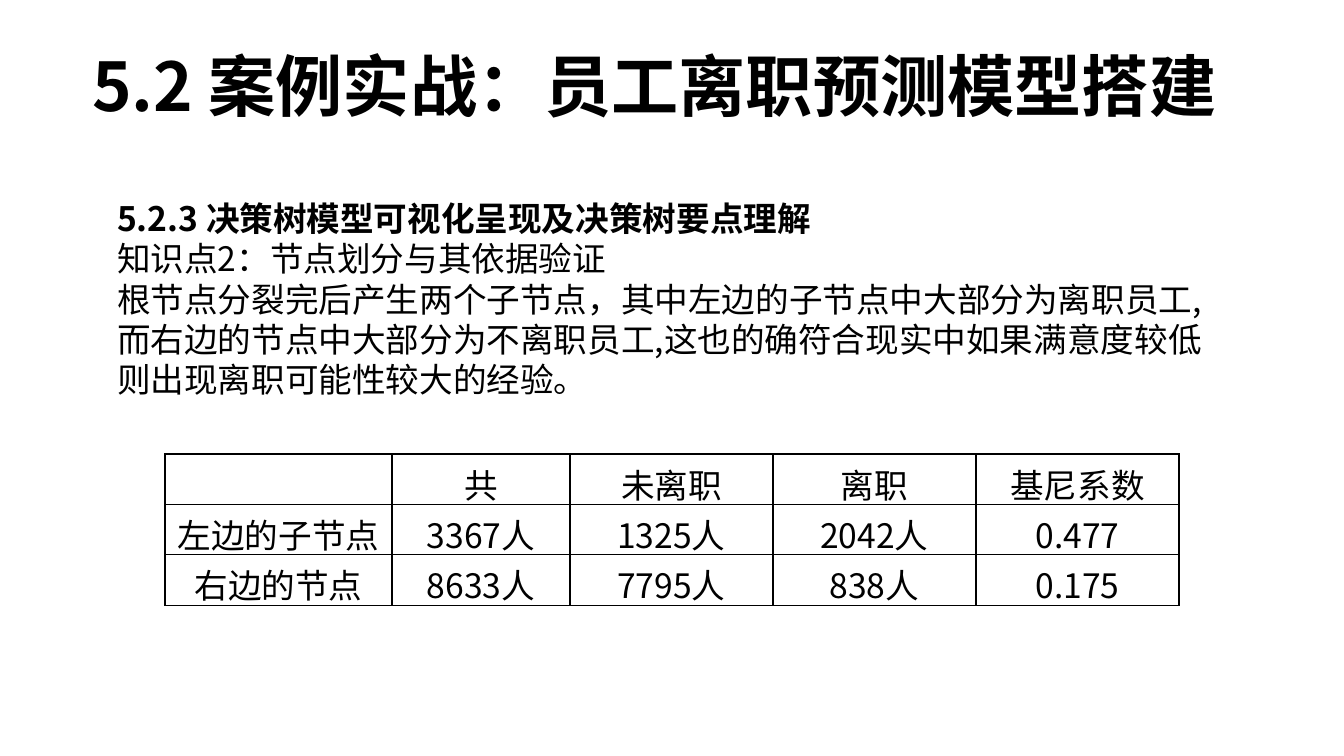
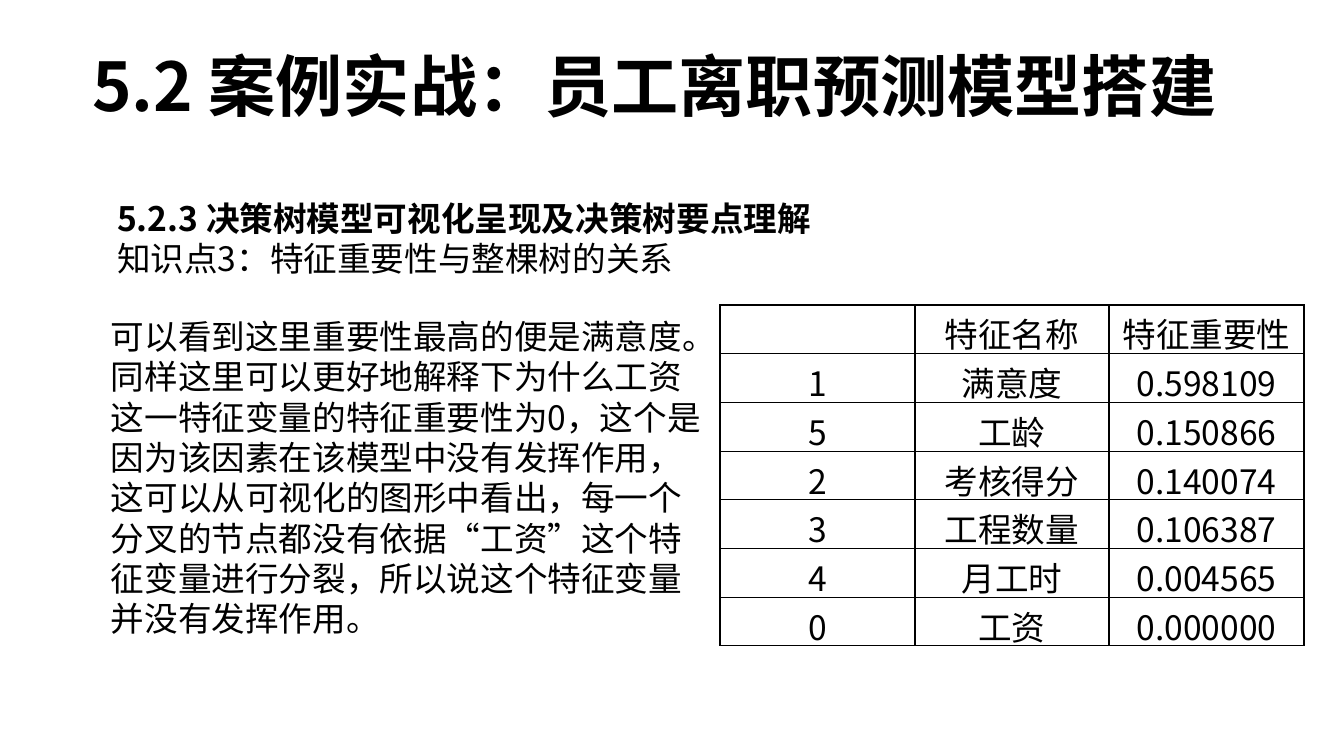
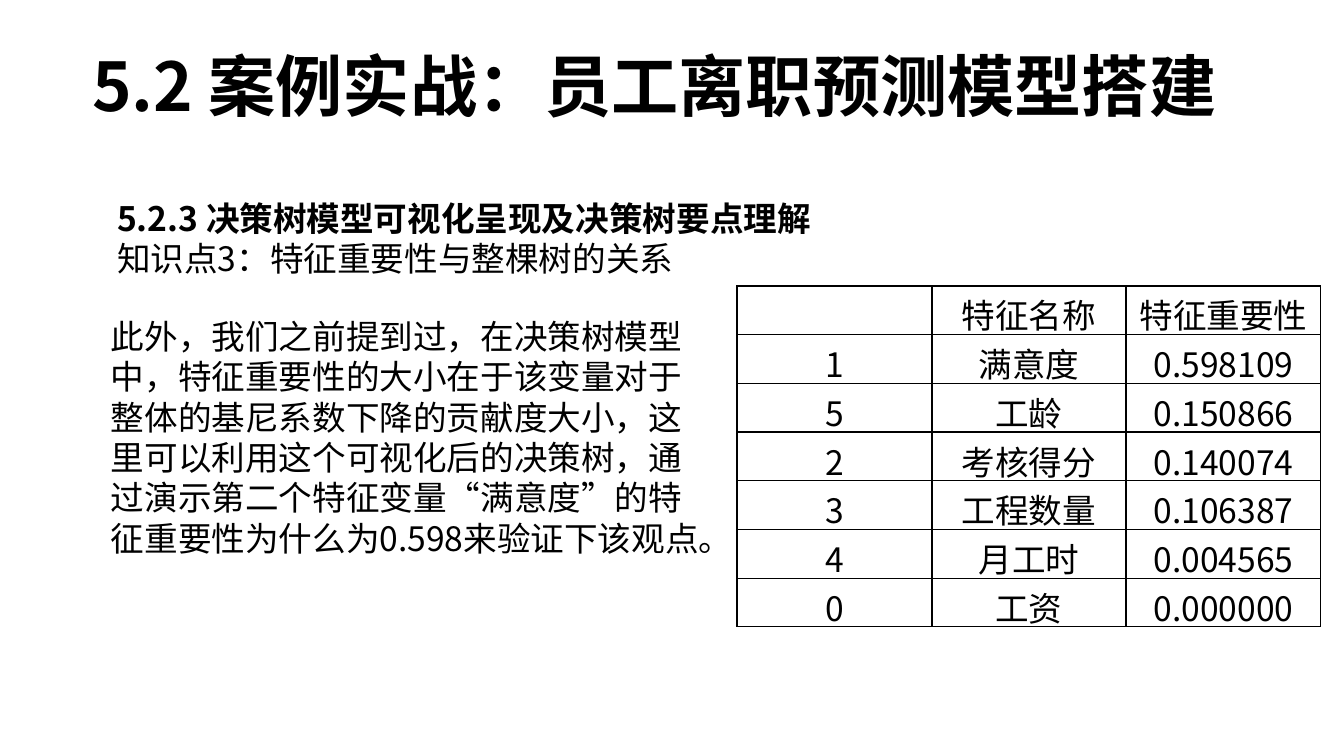
"""Build three slides on the decision tree of the staff turnover model."""
import lxml.etree
import pptx
import pptx.dml.color
import pptx.enum.text
import pptx.oxml.ns
import pptx.util

SCALE = 914400 / 100.8
BLACK = pptx.dml.color.RGBColor(0x00, 0x00, 0x00)
FONT = "Noto Sans CJK SC"
TOP = pptx.enum.text.MSO_ANCHOR.TOP
MIDDLE = pptx.enum.text.MSO_ANCHOR.MIDDLE
LEFT = pptx.enum.text.PP_ALIGN.LEFT
CENTER = pptx.enum.text.PP_ALIGN.CENTER
TITLE_FONT = {"size": pptx.util.Pt(48), "bold": True, "name": FONT}
HEADING_FONT = {"size": pptx.util.Pt(24), "bold": True, "name": FONT}
TEXT_FONT = {"size": pptx.util.Pt(24), "bold": False, "name": FONT}
FRAME_FORMAT = {"vertical_anchor": TOP,
                "auto_size": pptx.enum.text.MSO_AUTO_SIZE.SHAPE_TO_FIT_TEXT}

TITLE = "5.2 案例实战：员工离职预测模型搭建"
HEADING = "5.2.3 决策树模型可视化呈现及决策树要点理解"
SPLIT_POINT = "知识点2：节点划分与其依据验证"
WEIGHT_POINT = "知识点3：特征重要性与整棵树的关系"
SPLIT_TEXT = ("根节点分裂完后产生两个子节点，其中左边的子节点中大部分为离职员工,"
              "而右边的节点中大部分为不离职员工,这也的确符合现实中如果满意度较低"
              "则出现离职可能性较大的经验。")
WAGE_TEXT = ("可以看到这里重要性最高的便是满意度。同样这里可以更好地解释下为什么工资"
             "这一特征变量的特征重要性为0，这个是因为该因素在该模型中没有发挥作用，"
             "这可以从可视化的图形中看出，每一个分叉的节点都没有依据“工资”这个"
             "特征变量进行分裂，所以说这个特征变量并没有发挥作用。")
GINI_TEXT = ("此外，我们之前提到过，在决策树模型中，特征重要性的大小在于该变量对于"
             "整体的基尼系数下降的贡献度大小，这里可以利用这个可视化后的决策树，"
             "通过演示第二个特征变量“满意度”的特征重要性为什么为0.598来验证下该观点。")
NODE_ROWS = [
    ["", "共", "未离职", "离职", "基尼系数"],
    ["左边的子节点", "3367人", "1325人", "2042人", "0.477"],
    ["右边的节点", "8633人", "7795人", "838人", "0.175"],
]
FEATURE_ROWS = [
    ["", "特征名称", "特征重要性"],
    ["1", "满意度", "0.598109"],
    ["5", "工龄", "0.150866"],
    ["2", "考核得分", "0.140074"],
    ["3", "工程数量", "0.106387"],
    ["4", "月工时", "0.004565"],
    ["0", "工资", "0.000000"],
]


def px(length):
    """Turn pixels into EMU."""
    return pptx.util.Emu(round(length * SCALE))


def apply(target, values):
    """Set each named attribute on the target."""
    for name, value in values.items():
        setattr(target, name, value)


def add_xml(parent, tag, **attributes):
    """Append a drawing element to its parent."""
    return lxml.etree.SubElement(parent, pptx.oxml.ns.qn(tag), attributes)


def write(para, text, font, align=LEFT):
    """Fill a paragraph with one formatted span."""
    apply(para, {"alignment": align, "line_spacing": 1.0,
                 "space_before": pptx.util.Pt(0), "space_after": pptx.util.Pt(0)})
    span = para.add_run()
    span.text = text
    apply(span.font, font)
    span.font.color.rgb = BLACK
    add_xml(span.font._element, "a:ea", typeface=FONT)


def fill_box(box, area, lines, wrap=True):
    """Place a box and write its lines without bullets."""
    apply(box, dict(zip(("left", "top", "width", "height"), map(px, area))))
    frame = box.text_frame
    apply(frame, FRAME_FORMAT)
    frame.word_wrap = wrap
    for index, (text, font) in enumerate(lines):
        para = frame.add_paragraph() if index else frame.paragraphs[0]
        write(para, text, font)
        properties = para._p.get_or_add_pPr()
        properties.set("marL", "0")
        properties.set("indent", "0")
        add_xml(properties, "a:buNone")


def add_page(deck, area, lines):
    """Add a page with the shared title and a body."""
    page = deck.slides.add_slide(deck.slide_layouts[1])
    fill_box(page.shapes.title, (82, 39, 1180, 92), [(TITLE, TITLE_FONT)], wrap=False)
    fill_box(page.placeholders[1], area, [(HEADING, HEADING_FONT)] + lines)
    return page


def add_borders(cell):
    """Draw thin black lines on all sides of a cell."""
    properties = cell._tc.get_or_add_tcPr()
    for side in ("a:lnL", "a:lnR", "a:lnT", "a:lnB"):
        line = add_xml(properties, side, w=str(pptx.util.Pt(1)))
        add_xml(add_xml(line, "a:solidFill"), "a:srgbClr", val=str(BLACK))


def add_grid(page, left, top, widths, height, rows, cell_format):
    """Add a ruled table with equal row heights."""
    grid = page.shapes.add_table(len(rows), len(widths), px(left), px(top),
                                 px(sum(widths)), px(height)).table
    apply(grid, {"first_row": False, "horz_banding": False})
    for column, width in zip(grid.columns, widths):
        column.width = px(width)
    for row_index, row in enumerate(rows):
        for column_index, text in enumerate(row):
            cell = grid.cell(row_index, column_index)
            apply(cell, cell_format)
            if cell_format and row_index == 0:
                cell.vertical_anchor = MIDDLE
            add_borders(cell)
            cell.fill.background()
            if text:
                write(cell.text_frame.paragraphs[0], text, TEXT_FONT, CENTER)


def add_feature_page(deck, text, text_height, left, top):
    """Add a page that explains the feature weights beside their table."""
    page = add_page(deck, (107, 193, 721, 132), [(WEIGHT_POINT, TEXT_FONT)])
    tight = {"margin_left": 0, "margin_right": 0,
             "margin_top": px(4), "margin_bottom": px(4)}
    add_grid(page, left, top, (195, 194, 195), 341, FEATURE_ROWS, tight)
    box = page.shapes.add_textbox(0, 0, 0, 0)
    fill_box(box, (101, 311, 619, text_height), [(text, TEXT_FONT)])


def main():
    """Build and save the deck."""
    deck = pptx.Presentation()
    apply(deck, {"slide_width": px(1344), "slide_height": px(756)})
    page = add_page(deck, (107, 193, 1131, 295),
                    [(SPLIT_POINT, TEXT_FONT), (SPLIT_TEXT, TEXT_FONT)])
    add_grid(page, 165, 454, (227, 178, 203, 203, 203), 151, NODE_ROWS, {})
    add_feature_page(deck, WAGE_TEXT, 336, 720, 305)
    add_feature_page(deck, GINI_TEXT, 254, 737, 286)
    deck.save("out.pptx")


main()
